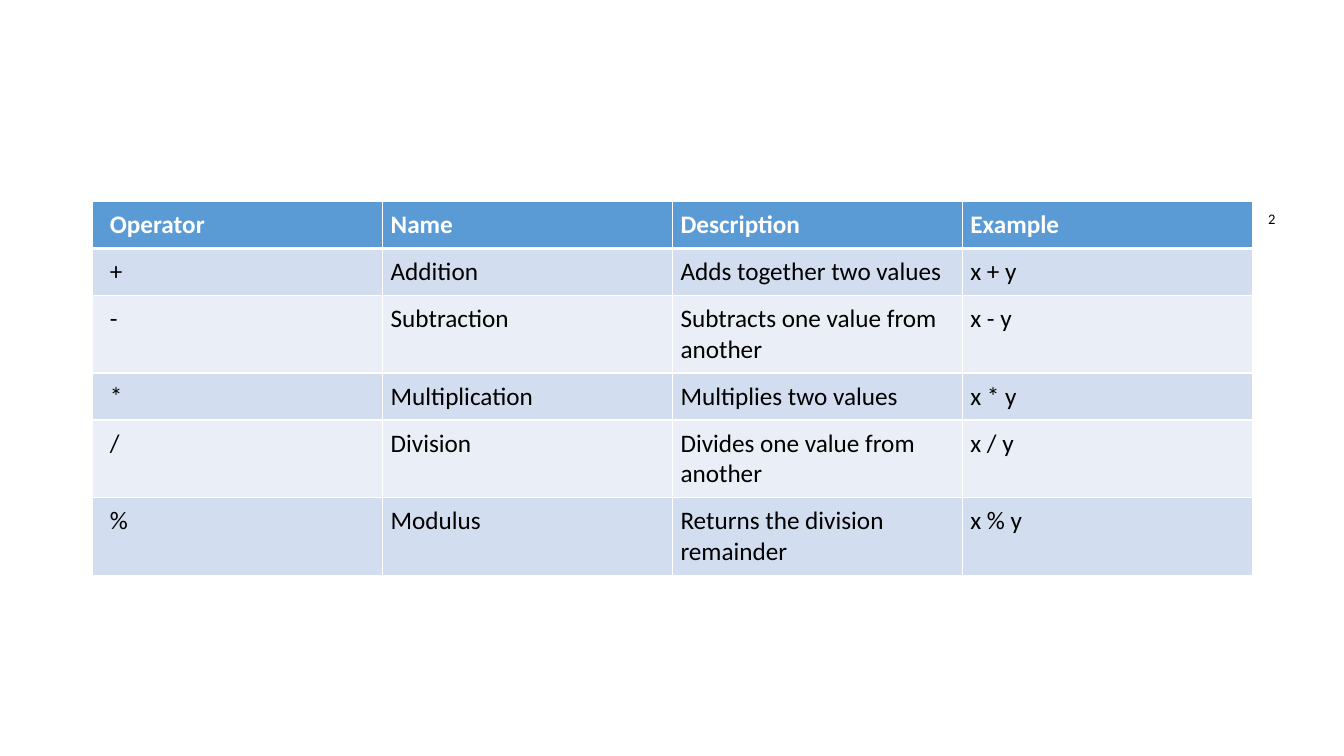
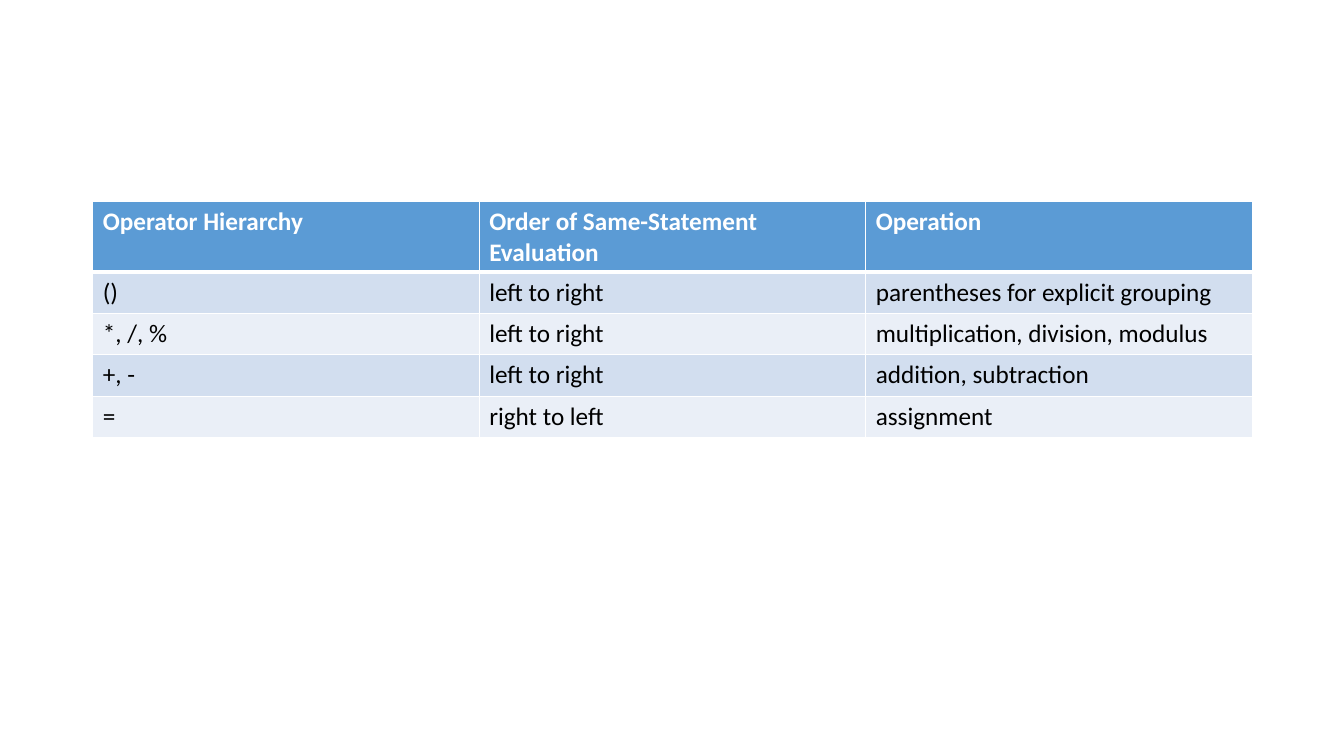
from lxml.etree import SubElement
from pptx import Presentation
from pptx.dml.color import RGBColor as RGB
from pptx.oxml.ns import qn
from pptx.util import Inches, Pt

COLORS = {"header": "5B9BD5", "odd": "D2DEEF", "even": "EAEFF7",
          "rule": "FFFFFF", "header_text": "FFFFFF", "text": "000000"}
FONT, SIZE = "Calibri", 18
LEFT, TOP, WIDTH, ROW = 0.92, 2, 11.5, 0.41
THIN, THICK = 1, 3

TABLES = [
    {
        "rows": [
            ("Operator", "Name", "Description", "Example"),
            ("+", "Addition", "Adds together two values", "x + y"),
            ("-", "Subtraction", "Subtracts one value from another", "x - y"),
            ("*", "Multiplication", "Multiplies two values", "x * y"),
            ("/", "Division", "Divides one value from another", "x / y"),
            ("%", "Modulus", "Returns the division remainder", "x % y"),
        ],
        "inset": 0.08,
        "first_inset": 0.17,
        "footnote": "2",
    },
    {
        "rows": [
            ("Operator Hierarchy", "Order of Same-Statement Evaluation", "Operation"),
            ("()", "left to right", "parentheses for explicit grouping"),
            ("*, /, %", "left to right", "multiplication, division, modulus"),
            ("+, -", "left to right", "addition, subtraction"),
            ("=", "right to left", "assignment"),
        ],
    },
]


def style_text(paragraph, color, bold=False):
    font = paragraph.font
    font.name, font.size, font.bold = FONT, Pt(SIZE), bold
    font.color.rgb = RGB.from_string(COLORS[color])


def rule_cell(cell, row):
    """Draw white borders, heavier where the header meets the body."""
    widths = {"L": THIN, "R": THIN,
              "T": THICK if row == 1 else THIN,
              "B": THICK if row == 0 else THIN}
    properties = cell._tc.get_or_add_tcPr()
    for side, width in widths.items():
        line = SubElement(properties, qn(f"a:ln{side}"), w=str(Pt(width)))
        fill = SubElement(line, qn("a:solidFill"))
        SubElement(fill, qn("a:srgbClr"), val=COLORS["rule"])


def inset_cell(cell, inset, left):
    cell.margin_left = Inches(left)
    cell.margin_right = cell.margin_top = cell.margin_bottom = Inches(inset)


def add_operator_table(slide, rows, inset=None, first_inset=None):
    columns = len(rows[0])
    table = slide.shapes.add_table(
        len(rows), columns, Inches(LEFT), Inches(TOP),
        Inches(WIDTH), Inches(ROW * len(rows))).table
    for r, texts in enumerate(rows):
        band = "header" if r == 0 else "odd" if r % 2 else "even"
        for c, text in enumerate(texts):
            cell = table.cell(r, c)
            cell.text = text
            style_text(cell.text_frame.paragraphs[0],
                       "text" if r else "header_text", bold=r == 0)
            rule_cell(cell, r)
            cell.fill.solid()
            cell.fill.fore_color.rgb = RGB.from_string(COLORS[band])
            if inset:
                inset_cell(cell, inset, inset if c else first_inset)


def add_footnote_mark(slide, mark):
    """Place a superscript mark beside the table's top right corner."""
    box = slide.shapes.add_textbox(Inches(LEFT + WIDTH + 0.06), Inches(TOP),
                                   Inches(0.27), Inches(0.3))
    box.text_frame.word_wrap = True
    paragraph = box.text_frame.paragraphs[0]
    run = paragraph.add_run()
    run.text = mark
    style_text(paragraph, "text")
    run._r.get_or_add_rPr().set("baseline", "30000")


def main():
    deck = Presentation()
    deck.slide_width, deck.slide_height = Inches(13.33), Inches(7.5)
    blank = deck.slide_layouts[6]
    for content in TABLES:
        slide = deck.slides.add_slide(blank)
        add_operator_table(slide, content["rows"], content.get("inset"),
                           content.get("first_inset"))
        if "footnote" in content:
            add_footnote_mark(slide, content["footnote"])
    deck.save("out.pptx")


if __name__ == "__main__":
    main()
